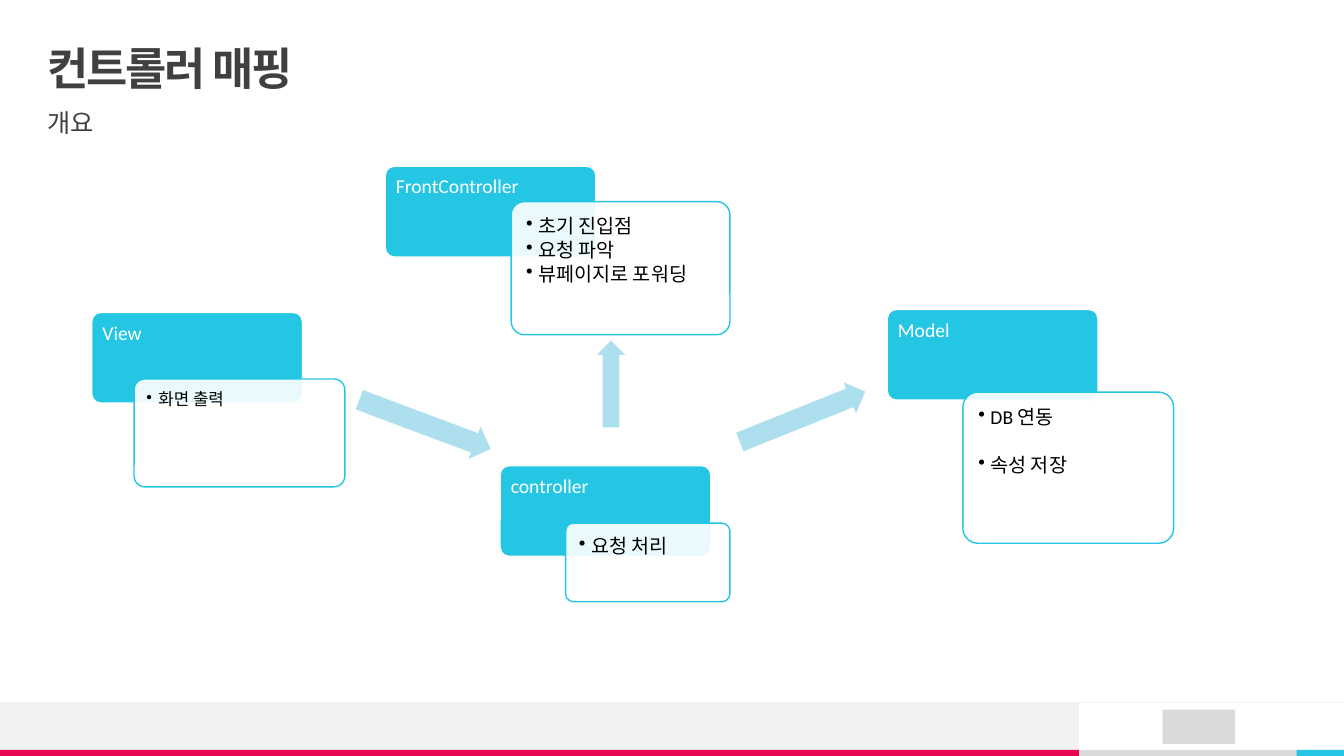
from lxml.etree import SubElement
from pptx import Presentation
from pptx.dml.color import RGBColor
from pptx.enum.shapes import MSO_CONNECTOR, MSO_SHAPE
from pptx.enum.text import MSO_ANCHOR
from pptx.oxml.ns import qn
from pptx.util import Inches, Pt

CYAN, SKY, PINK = "25C6E3", "ADDFEF", "E80554"
WHITE, PALE, GRAY, DARK, BLACK = "FFFFFF", "F2F2F2", "DADADA", "404040", "000000"


def paint(target, color):
    """Give a fill a solid colour."""
    target.solid()
    target.fore_color.rgb = RGBColor.from_string(color)


def block(slide, kind, at, fill, line=None, clear=None, adj=(), turn=0):
    """Add a preset shape, with an optional outline, opacity and rotation."""
    shape = slide.shapes.add_shape(kind, *map(Inches, at))
    shape.shadow.inherit = False
    shape.rotation = turn
    for spot, size in enumerate(adj):
        shape.adjustments[spot] = size
    paint(shape.fill, fill)
    if clear:
        tint = shape.fill._xPr.find(qn("a:solidFill"))[0]
        SubElement(tint, qn("a:alpha"), val=str(clear * 1000))
    if line:
        paint(shape.line.fill, line)
        shape.line.width = Pt(1)
    else:
        shape.line.fill.background()
    return shape


def setup(shape, inset=(0, 0, 0, 0), anchor=MSO_ANCHOR.TOP):
    """Set wrap, insets and anchor, and return the text frame."""
    frame = shape.text_frame
    frame.word_wrap = True
    frame.vertical_anchor = anchor
    (frame.margin_left, frame.margin_top,
     frame.margin_right, frame.margin_bottom) = map(Inches, inset)
    return frame


def write(para, text, size, color, bold=False, track=0, before=0, after=0,
          bullet=False):
    """Write one formatted, left-aligned line into a paragraph."""
    props = para._p.get_or_add_pPr()
    props.set("algn", "l")
    para.line_spacing = 0.9
    para.space_before, para.space_after = Pt(before), Pt(after)
    if bullet:
        props.set("marL", str(Inches(0.12)))
        props.set("indent", str(Inches(-0.12)))
        SubElement(props, qn("a:buChar"), char="•")
    run = para.add_run()
    run.text = text
    run.font.name = "Calibri"
    run.font.size = Pt(size)
    run.font.bold = bold
    run.font.color.rgb = RGBColor.from_string(color)
    if track:
        run._r.get_or_add_rPr().set("spc", str(int(track * 100)))


def label(slide, at, text, anchor=MSO_ANCHOR.TOP, **style):
    """Add a text box with one line."""
    box = slide.shapes.add_textbox(*map(Inches, at))
    write(setup(box, anchor=anchor).paragraphs[0], text, **style)


def card(slide, left, top, name, panel, items, size=14, inset=0.11, gap=0):
    """Add a named block with its overlapping list panel."""
    head = block(slide, MSO_SHAPE.ROUNDED_RECTANGLE, (left, top, 2.09, 0.9),
                 CYAN, WHITE, adj=(0.1,))
    write(setup(head, (0.08, 0.08, 0.08, 0.06)).paragraphs[0], name, 14, WHITE)
    body = block(slide, MSO_SHAPE.ROUNDED_RECTANGLE, panel, WHITE, CYAN, 90, (0.1,))
    frame = setup(body, (inset,) * 4)
    for row, item in enumerate(items):
        para = frame.add_paragraph() if row else frame.paragraphs[0]
        write(para, item, size, BLACK, before=gap if row else 0,
              after=2, bullet=True)


def footer(slide):
    """Draw the bottom bars, the plain badge and the rule."""
    for at, fill in (((10.7, 7.44, 2.17, 0.06), GRAY),
                     ((0, 6.97, 10.7, 0.47), PALE),
                     ((0, 7.44, 10.7, 0.06), PINK),
                     ((12.86, 7.44, 0.47, 0.06), CYAN),
                     ((11.53, 7.04, 0.72, 0.34), GRAY)):
        block(slide, MSO_SHAPE.RECTANGLE, at, fill)
    rule = slide.shapes.add_connector(
        MSO_CONNECTOR.STRAIGHT, *map(Inches, (13.33, 6.97, 0, 6.97)))
    paint(rule.line.fill, PALE)
    rule.line.width = Pt(0.5)
    SubElement(rule._element.spPr, qn("a:effectLst"))


def main():
    """Build the slide and save it."""
    deck = Presentation()
    deck.slide_width, deck.slide_height = Inches(13.33), Inches(7.5)
    slide = deck.slides.add_slide(deck.slide_layouts[6])
    footer(slide)
    label(slide, (0.47, 0.47, 12.39, 0.47), "컨트롤러 매핑", MSO_ANCHOR.MIDDLE,
          size=32, color=DARK, bold=True, track=-1.5)
    label(slide, (0.47, 1.1, 12.4, 0.39), "개요", size=18, color=DARK)
    card(slide, 0.91, 3.1, "View", (1.33, 3.76, 2.09, 1.07), ["화면 출력"],
         size=12, inset=0.09)
    card(slide, 4.96, 4.62, "controller", (5.61, 5.19, 1.63, 0.78), ["요청 처리"])
    card(slide, 8.8, 3.07, "Model", (9.55, 3.89, 2.09, 1.5),
         ["DB 연동", "속성 저장"], gap=17)
    card(slide, 3.82, 1.65, "FrontController", (5.07, 2, 2.17, 1.32),
         ["초기 진입점", "요청 파악", "뷰페이지로 포워딩"])
    for at, turn in (((3.52, 4.04, 1.39, 0.34), 20.5),
                     ((7.29, 3.97, 1.34, 0.33), 338.1),
                     ((5.63, 3.67, 0.86, 0.28), 270)):
        block(slide, MSO_SHAPE.RIGHT_ARROW, at, SKY, adj=(0.6, 0.5), turn=turn)
    deck.save("out.pptx")


if __name__ == "__main__":
    main()
